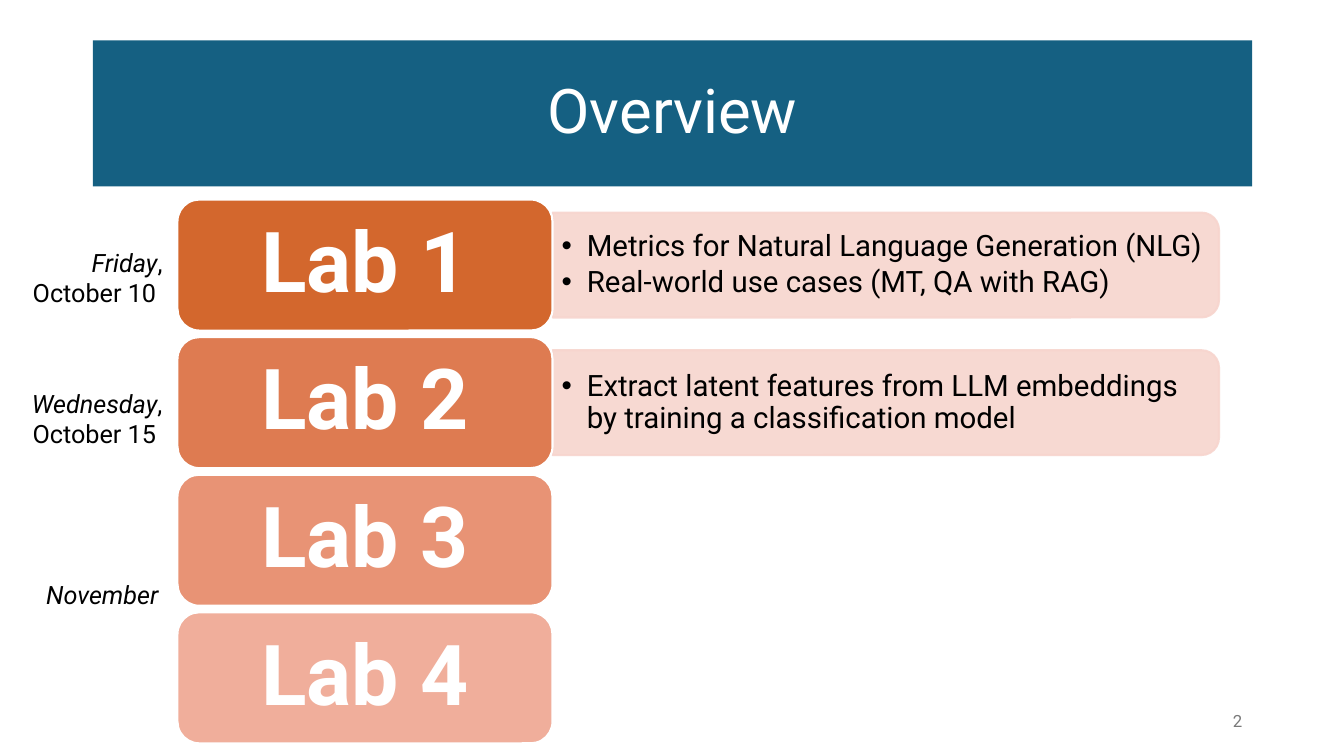
from dataclasses import dataclass

from lxml import etree
from pptx import Presentation
from pptx.dml.color import RGBColor
from pptx.enum.shapes import MSO_SHAPE
from pptx.enum.text import MSO_ANCHOR, MSO_AUTO_SIZE, PP_ALIGN
from pptx.oxml.ns import qn
from pptx.util import Inches, Pt

ROUNDED = MSO_SHAPE.ROUNDED_RECTANGLE
ROUNDED_TOP = MSO_SHAPE.ROUND_2_SAME_RECTANGLE
MIDDLE, TOP = MSO_ANCHOR.MIDDLE, MSO_ANCHOR.TOP
LEFT, CENTER, RIGHT = PP_ALIGN.LEFT, PP_ALIGN.CENTER, PP_ALIGN.RIGHT
TWO_CONTENT_LAYOUT = 3


@dataclass(frozen=True)
class Theme:
    font: str = "Roboto"
    title_fill: str = "156082"
    panel: str = "F7D5CE"
    white: str = "FFFFFF"
    black: str = "000000"
    gray: str = "797979"
    title_size: int = 44
    lab_size: int = 60
    topic_size: int = 21
    date_size: int = 18
    number_size: int = 12


@dataclass(frozen=True)
class Lab:
    name: str
    color: str
    topics: tuple[str, ...] = ()


@dataclass(frozen=True)
class Run:
    text: str
    italic: bool = False


@dataclass(frozen=True)
class DateLabel:
    left: float
    top: float
    width: float
    height: float
    lines: tuple[tuple[Run, ...], ...]


THEME = Theme()
LABS = (
    Lab("Lab 1", "D3672D", ("Metrics for Natural Language Generation (NLG)",
                            "Real-world use cases (MT, QA with RAG)")),
    Lab("Lab 2", "DE7B51", ("Extract latent features from LLM embeddings "
                            "by training a classification model",)),
    Lab("Lab 3", "E89375"),
    Lab("Lab 4", "F0AE9B"),
)
DATES = (
    DateLabel(0.19, 2.4, 1.52, 0.71, ((Run("Friday", True), Run(", October 10 ")),)),
    DateLabel(0.11, 3.8, 1.6, 0.71,
              ((Run("Wednesday", True), Run(",")), (Run("October 15 "),))),
    DateLabel(0.07, 5.7, 1.6, 0.4, ((Run("November", True),),)),
)
LAB_LEFT, LAB_TOP, LAB_WIDTH, LAB_HEIGHT = 1.76, 1.98, 3.72, 1.3
LAB_STEP = 1.365
PANEL_LEFT, PANEL_WIDTH, PANEL_HEIGHT = LAB_LEFT + LAB_WIDTH, 6.61, 1.04
TOPICS_WIDTH, TOPICS_HEIGHT = 6.56, 0.94


def place(shape, left: float, top: float, width: float, height: float) -> None:
    shape.left, shape.top = Inches(left), Inches(top)
    shape.width, shape.height = Inches(width), Inches(height)


def write(shape, lines: tuple[tuple[Run, ...], ...], *, size: int, color: str,
          align=LEFT, anchor=MIDDLE, bold: bool = False, spacing: float = 0.9,
          after: int = 0, inset: tuple[float, float] = (0.1, 0.05)) -> None:
    """Fill a shape with one paragraph per line, all in the same format."""
    frame = shape.text_frame
    frame.word_wrap = True
    frame.auto_size = MSO_AUTO_SIZE.NONE
    frame.vertical_anchor = anchor
    frame.margin_left = frame.margin_right = Inches(inset[0])
    frame.margin_top = frame.margin_bottom = Inches(inset[1])
    for index, line in enumerate(lines):
        paragraph = frame.add_paragraph() if index else frame.paragraphs[0]
        paragraph.alignment = align
        paragraph.line_spacing = spacing
        paragraph.space_before, paragraph.space_after = Pt(0), Pt(after)
        for part in line:
            run = paragraph.add_run()
            run.text = part.text
            run.font.name, run.font.size = THEME.font, Pt(size)
            run.font.bold, run.font.italic = bold, part.italic
            run.font.color.rgb = RGBColor.from_string(color)


def add_block(slide, kind, box: tuple[float, ...], fill: str, line: str):
    shape = slide.shapes.add_shape(kind, *map(Inches, box))
    shape.shadow.inherit = False
    shape.fill.solid()
    shape.fill.fore_color.rgb = RGBColor.from_string(fill)
    shape.line.color.rgb = RGBColor.from_string(line)
    shape.line.width = Pt(1.5)
    return shape


def add_panel(slide, middle: float) -> None:
    """Draw a translucent panel, turned so that its right corners are round."""
    center = PANEL_LEFT + PANEL_WIDTH / 2
    box = (center - PANEL_HEIGHT / 2, middle - PANEL_WIDTH / 2,
           PANEL_HEIGHT, PANEL_WIDTH)
    panel = add_block(slide, ROUNDED_TOP, box, THEME.panel, THEME.panel)
    panel.rotation = 90
    for color in panel.element.spPr.iter(qn("a:srgbClr")):
        etree.SubElement(color, qn("a:alpha"), val="90000")


def fill_topics(placeholder, topics: tuple[str, ...], middle: float) -> None:
    """Write a bulleted list and bring it in front of its panel."""
    place(placeholder, PANEL_LEFT, middle - TOPICS_HEIGHT / 2,
          TOPICS_WIDTH, TOPICS_HEIGHT)
    write(placeholder, tuple((Run(topic),) for topic in topics),
          size=THEME.topic_size, color=THEME.black, after=3, inset=(0.09, 0.04))
    for properties in placeholder.element.iter(qn("a:pPr")):
        properties.set("marL", str(Inches(0.25)))
        properties.set("indent", str(Inches(-0.25)))
    placeholder.element.getparent().append(placeholder.element)


def add_lab(slide, lab: Lab, top: float) -> None:
    box = (LAB_LEFT, top, LAB_WIDTH, LAB_HEIGHT)
    block = add_block(slide, ROUNDED, box, lab.color, THEME.white)
    write(block, ((Run(lab.name),),), size=THEME.lab_size, color=THEME.white,
          align=CENTER, bold=True)


def main() -> None:
    presentation = Presentation()
    presentation.slide_width, presentation.slide_height = Inches(13.33), Inches(7.5)
    slide = presentation.slides.add_slide(presentation.slide_layouts[TWO_CONTENT_LAYOUT])
    title, *topic_lists = slide.placeholders

    place(title, 0.92, 0.4, 11.5, 1.45)
    title.fill.solid()
    title.fill.fore_color.rgb = RGBColor.from_string(THEME.title_fill)
    write(title, ((Run("Overview"),),), size=THEME.title_size, color=THEME.white,
          align=CENTER)

    remaining_lists = iter(topic_lists)
    for index, lab in enumerate(LABS):
        top = LAB_TOP + index * LAB_STEP
        if lab.topics:
            middle = top + LAB_HEIGHT / 2
            add_panel(slide, middle)
            fill_topics(next(remaining_lists), lab.topics, middle)
        add_lab(slide, lab, top)

    for date in DATES:
        box = (date.left, date.top, date.width, date.height)
        label = slide.shapes.add_textbox(*map(Inches, box))
        write(label, date.lines, size=THEME.date_size, color=THEME.black,
              align=RIGHT, anchor=TOP, spacing=1.0)

    number = slide.shapes.add_textbox(*map(Inches, (9.42, 6.95, 3, 0.4)))
    write(number, ((Run("2"),),), size=THEME.number_size, color=THEME.gray,
          align=RIGHT, spacing=1.0)
    presentation.save("out.pptx")


if __name__ == "__main__":
    main()
